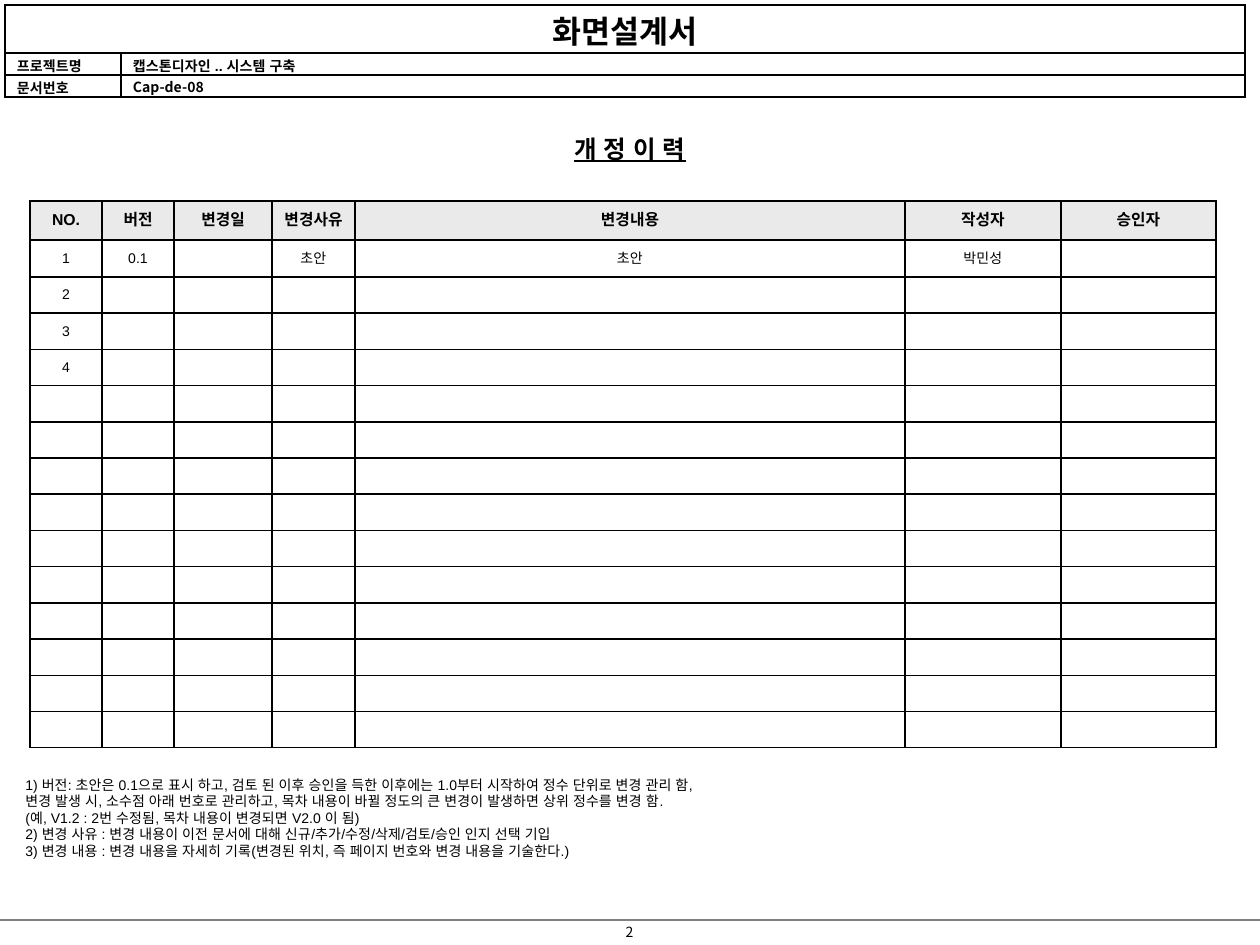
from lxml.etree import SubElement
from pptx import Presentation
from pptx.dml.color import RGBColor
from pptx.enum.shapes import MSO_CONNECTOR
from pptx.enum.text import MSO_ANCHOR, PP_ALIGN
from pptx.oxml.ns import qn
from pptx.util import Pt

INK = {"black": "000000", "white": "FFFFFF", "head": "EAEAEA", "rule": "808080"}
SANS, KOREAN = "Arial", "Noto Sans CJK KR"
LEFT, MID = PP_ALIGN.LEFT, PP_ALIGN.CENTER


def px(count):
    return round(count * 914400 / 126)


def hue(name):
    return RGBColor.from_string(INK[name])


class Page:
    def __init__(self, deck):
        self.slide = deck.slides.add_slide(deck.slide_layouts[5])
        self.shapes = self.slide.shapes

    def style(self, para, size, face=SANS, bold=False, align=LEFT):
        para.alignment = align
        font = para.font
        font.size, font.bold, font.name = Pt(size), bold, face
        font.color.rgb = hue("black")
        SubElement(font._element, qn("a:ea"), typeface=face)
        if not para.text:
            SubElement(para._p, qn("a:endParaRPr"), sz=str(size * 100))

    def title(self, text, box):
        shape = self.shapes.title
        shape.left, shape.top, shape.width, shape.height = map(px, box)
        frame = shape.text_frame
        frame.text = text
        frame.vertical_anchor = MSO_ANCHOR.MIDDLE
        para = frame.paragraphs[0]
        self.style(para, 14, bold=True, align=MID)
        para.font.underline = True

    def text(self, lines, box, face=SANS, align=LEFT, pitch=None):
        frame = self.shapes.add_textbox(*map(px, box)).text_frame
        frame.word_wrap = True
        frame.text = "\n".join(lines)
        for para in frame.paragraphs:
            self.style(para, 8, face, align=align)
            if pitch:
                para.line_spacing = Pt(pitch)

    def line(self, start, end, color):
        rule = self.shapes.add_connector(
            MSO_CONNECTOR.STRAIGHT, *map(px, start + end))
        rule.line.color.rgb = hue(color)
        rule.line.width = Pt(0.75)
        SubElement(rule._element.spPr, qn("a:effectLst"))

    def grid(self, spot, cols, heads, rest=0, count=0):
        rows = [px(h) for h in heads] + [px(rest) // max(count, 1)] * count
        table = self.shapes.add_table(
            len(rows), len(cols), *map(px, spot), px(sum(cols)), sum(rows)).table
        table.first_row = table.horz_banding = False
        for col, width in zip(table.columns, cols):
            col.width = px(width)
        for row, height in zip(table.rows, rows):
            row.height = height
        return table

    def cell(self, cell, text, fill=None, pad=5, anchor=MSO_ANCHOR.MIDDLE, **font):
        cell.text = text
        cell.vertical_anchor = anchor
        cell.margin_left = cell.margin_right = px(pad)
        cell.margin_top = cell.margin_bottom = 0
        self.style(cell.text_frame.paragraphs[0], **font)
        for side in "LRTB":
            edge = SubElement(cell._tc.tcPr, qn(f"a:ln{side}"), w=str(Pt(1)))
            paint = SubElement(edge, qn("a:solidFill"))
            SubElement(paint, qn("a:srgbClr"), val=INK["black"])
        if fill:
            cell.fill.solid()
            cell.fill.fore_color.rgb = hue(fill)
        else:
            cell.fill.background()


def header(page):
    table = page.grid((5, 5), [116, 1124], [48, 22, 22])
    table.cell(0, 0).merge(table.cell(0, 1))
    cells = [
        (0, 0, "화면설계서", 18, KOREAN, MID),
        (0, 1, "", 8, SANS, LEFT),
        (1, 0, "프로젝트명", 8, SANS, LEFT),
        (1, 1, "캡스톤디자인 .. 시스템 구축", 8, SANS, LEFT),
        (2, 0, "문서번호", 8, SANS, LEFT),
        (2, 1, "Cap-de-08", 8, KOREAN, LEFT),
    ]
    for row, col, text, size, face, align in cells:
        page.cell(table.cell(row, col), text, "white", 12, MSO_ANCHOR.BOTTOM,
                  size=size, face=face, bold=True, align=align)


def history(page):
    heads = ["NO.", "버전", "변경일", "변경사유", "변경내용", "작성자", "승인자"]
    data = [heads, ["1", "0.1", "", "초안", "초안", "박민성", ""], ["2"], ["3"], ["4"]]
    table = page.grid((30, 201), [72, 72, 98, 83, 550, 156, 155], [39, 37], 471, 13)
    for row, line in enumerate(table.rows):
        texts = data[row] if row < len(data) else []
        top = row == 0
        for col, cell in enumerate(line.cells):
            page.cell(cell, texts[col] if col < len(texts) else "",
                      "head" if top else None,
                      size=9 if top else 8, bold=top, align=MID)


def main():
    deck = Presentation()
    deck.slide_width, deck.slide_height = px(1260), px(945)
    page = Page(deck)
    page.line((0, 920), (1260, 920), "rule")
    page.text(["2"], (595, 917, 69, 30), KOREAN, MID)
    header(page)
    page.title("개 정 이 력", (0, 127, 1260, 43))
    page.text([
        "1) 버전: 초안은 0.1으로 표시 하고, 검토 된 이후 승인을 득한 이후에는 1.0부터 시작하여 정수 단위로 변경 관리 함,",
        "변경 발생 시, 소수점 아래 번호로 관리하고, 목차 내용이 바뀔 정도의 큰 변경이 발생하면 상위 정수를 변경 함.",
        "(예, V1.2 : 2번 수정됨, 목차 내용이 변경되면 V2.0 이 됨)",
        "2) 변경 사유 : 변경 내용이 이전 문서에 대해 신규/추가/수정/삭제/검토/승인 인지 선택 기입",
        "3) 변경 내용 : 변경 내용을 자세히 기록(변경된 위치, 즉 페이지 번호와 변경 내용을 기술한다.)",
    ], (13, 770, 1135, 97), pitch=9.5)
    history(page)
    deck.save("out.pptx")


if __name__ == "__main__":
    main()
